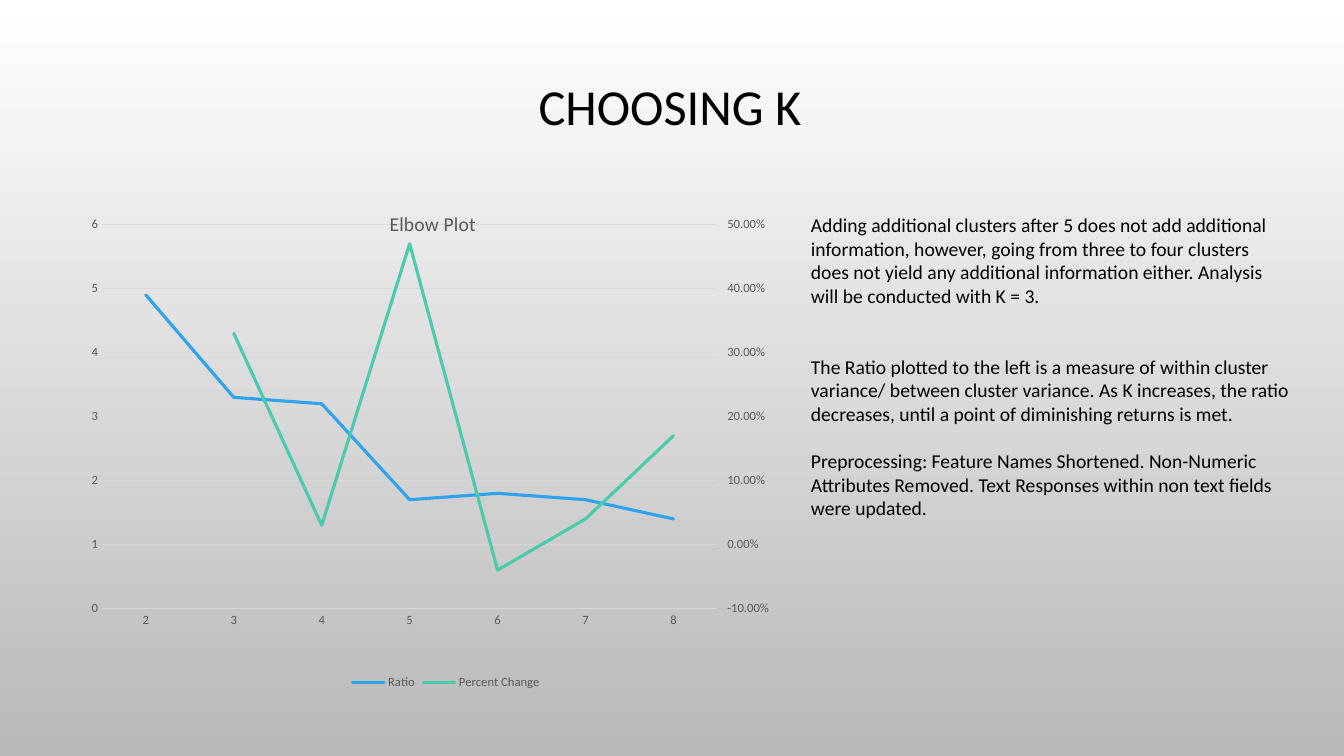
import copy

import pptx
import pptx.chart.axis
import pptx.chart.data
import pptx.dml.color
import pptx.enum.chart
import pptx.enum.text
import pptx.oxml
import pptx.oxml.ns
import pptx.util

THEME = {
    "font": "Calibri",
    "text": "000000", "muted": "595959", "grid": "D9D9D9",
    "background": ("FFFFFF", "B9B9B9"),
    "series": ("2FA3EE", "4BCAAD"),
    "title_size": 36, "body_size": 14, "chart_title_size": 14, "axis_size": 9,
    "grid_width": 0.75, "series_width": 2.25,
}
EMU_PER_PIXEL = 914400 / 100.8
TICK = pptx.enum.chart.XL_TICK_MARK


def pixels(value):
    return pptx.util.Emu(round(value * EMU_PER_PIXEL))


def rgb(value):
    return pptx.dml.color.RGBColor.from_string(value)


def apply(target, values):
    for name, value in values.items():
        setattr(target, name, value)


class SlideBuilder:
    def __init__(self, presentation, theme):
        self.theme = theme
        self.slide = presentation.slides.add_slide(presentation.slide_layouts[5])

    def style_font(self, font, size, color):
        apply(font, {"name": self.theme["font"], "size": pptx.util.Pt(size), "bold": False})
        font.color.rgb = rgb(color)

    def style_line(self, line, color, width):
        line.color.rgb = rgb(color)
        line.width = pptx.util.Pt(width)

    def background(self):
        fill = self.slide.background.fill
        fill.gradient()
        fill.gradient_angle = 270
        for stop, position, color in zip(fill.gradient_stops, (0, 1), self.theme["background"]):
            stop.position = position
            stop.color.rgb = rgb(color)

    def place(self, shape, box):
        apply(shape, dict(zip(("left", "top", "width", "height"), map(pixels, box))))

    def title(self, text, box):
        shape = self.slide.shapes.title
        self.place(shape, box)
        apply(shape.text_frame, {
            "text": text, "word_wrap": True,
            "auto_size": pptx.enum.text.MSO_AUTO_SIZE.NONE,
            "vertical_anchor": pptx.enum.text.MSO_ANCHOR.MIDDLE,
        })
        paragraph = shape.text_frame.paragraphs[0]
        apply(paragraph, {"alignment": pptx.enum.text.PP_ALIGN.CENTER, "line_spacing": 0.9})
        self.style_font(paragraph.runs[0].font, self.theme["title_size"], self.theme["text"])

    def text(self, paragraphs, box):
        frame = self.slide.shapes.add_textbox(*map(pixels, box)).text_frame
        apply(frame, {
            "word_wrap": True,
            "auto_size": pptx.enum.text.MSO_AUTO_SIZE.SHAPE_TO_FIT_TEXT,
            "text": "\n".join(text for text, gap in paragraphs),
        })
        for paragraph, (text, gap) in zip(frame.paragraphs, paragraphs):
            paragraph.space_before = pptx.util.Pt(gap)
            self.style_font(paragraph.runs[0].font, self.theme["body_size"], self.theme["text"])

    def axis(self, axis, tick, scale=None, number_format=None):
        apply(axis, {"major_tick_mark": tick, "minor_tick_mark": TICK.NONE})
        self.style_font(axis.tick_labels.font, self.theme["axis_size"], self.theme["muted"])
        axis.format.line.fill.background()
        if scale:
            apply(axis, dict(zip(("minimum_scale", "maximum_scale", "major_unit"), scale)))
        if number_format:
            apply(axis.tick_labels, {"number_format": number_format,
                                     "number_format_is_linked": False})

    def layout(self, parent, **settings):
        """Give a chart part a manual layout."""
        for old in parent.xpath("c:layout"):
            parent.remove(old)
        items = "".join(f'<c:{name} val="{value}"/>' for name, value in settings.items())
        layout = pptx.oxml.parse_xml(
            f'<c:layout {pptx.oxml.ns.nsdecls("c")}><c:manualLayout>{items}'
            "</c:manualLayout></c:layout>")
        parent.insert(len(parent.xpath("c:tx")), layout)

    def split_second_series(self, plot_area):
        """Move the second series to its own plot and return its two axes."""
        first = plot_area.xpath("c:lineChart")[0]
        second = copy.deepcopy(first)
        first.remove(first.xpath("c:ser")[1])
        second.remove(second.xpath("c:ser")[0])
        first.addnext(second)
        category, value = (copy.deepcopy(plot_area.xpath(name)[0])
                           for name in ("c:catAx", "c:valAx"))
        plot_area.xpath("c:valAx")[0].addnext(value)
        value.addnext(category)
        new_ids = dict(zip((item.get("val") for item in first.xpath("c:axId")),
                           ("50010", "50020")))
        for element in (second, category, value):
            for reference in element.xpath("c:axId | c:crossAx"):
                reference.set("val", new_ids[reference.get("val")])
        for name, setting in (("axPos", "r"), ("crosses", "max")):
            value.xpath(f"c:{name}")[0].set("val", setting)
        return pptx.chart.axis.CategoryAxis(category), pptx.chart.axis.ValueAxis(value)

    def two_axis_line_chart(self, title, categories, series, box, scales, formats):
        data = pptx.chart.data.CategoryChartData()
        data.categories = categories
        for (name, values), number_format in zip(series, formats):
            data.add_series(name, values, number_format)
        chart = self.slide.shapes.add_chart(
            pptx.enum.chart.XL_CHART_TYPE.LINE, *map(pixels, box), data).chart
        self.style_font(chart.font, 10, self.theme["text"])
        chart.plots[0].vary_by_categories = False
        for line, color in zip(chart.plots[0].series, self.theme["series"]):
            line.smooth = False
            self.style_line(line.format.line, color, self.theme["series_width"])
        plot_area = chart.element.xpath("c:chart/c:plotArea")[0]
        for outline in plot_area.xpath("c:lineChart/c:ser/c:spPr/a:ln"):
            outline.set("cap", "rnd")

        # Left and bottom axes, then the right axis
        self.axis(chart.category_axis, TICK.NONE)
        self.style_line(chart.category_axis.format.line,
                        self.theme["grid"], self.theme["grid_width"])
        self.axis(chart.value_axis, TICK.NONE, scales[0], formats[0])
        self.style_line(chart.value_axis.major_gridlines.format.line,
                        self.theme["grid"], self.theme["grid_width"])
        right_category, right_value = self.split_second_series(plot_area)
        self.axis(right_value, TICK.OUTSIDE, scales[1], formats[1])
        right_value.has_major_gridlines = False
        right_category.visible = False
        self.layout(plot_area, layoutTarget="inner", xMode="edge", yMode="edge",
                    x=0.04, y=0.065, w=0.823, h=0.765)

        # Title and legend
        chart.has_title = True
        chart.chart_title.text_frame.text = title
        run = chart.chart_title.text_frame.paragraphs[0].runs[0]
        self.style_font(run.font, self.theme["chart_title_size"], self.theme["muted"])
        title_element = chart.element.xpath("c:chart/c:title")[0]
        self.layout(title_element, xMode="edge", yMode="edge", x=0.42, y=0.03)
        for overlay in title_element.xpath("c:overlay"):
            overlay.set("val", "1")
        chart.has_legend = True
        apply(chart.legend, {"position": pptx.enum.chart.XL_LEGEND_POSITION.BOTTOM,
                             "include_in_layout": False})
        self.style_font(chart.legend.font, self.theme["axis_size"], self.theme["muted"])


presentation = pptx.Presentation()
apply(presentation, {"slide_width": pixels(1344), "slide_height": pixels(756)})
builder = SlideBuilder(presentation, THEME)

# Background and title
builder.background()
builder.title("CHOOSING K", (200, 26, 940, 166))

# Elbow plot
builder.two_axis_line_chart(
    "Elbow Plot",
    [str(k) for k in range(2, 9)],
    [("Ratio", (4.9, 3.3, 3.2, 1.7, 1.8, 1.7, 1.4)),
     ("Percent Change", (None, 0.33, 0.03, 0.47, -0.04, 0.04, 0.17))],
    (72, 192, 748, 502),
    scales=((0, 6, 1), (-0.1, 0.5, 0.1)),
    formats=("General", "0.00%"),
)

# Explanation, with the gap in points above each paragraph
builder.text([
    ("Adding additional clusters after 5 does not add additional information, however, "
     "going from three to four clusters does not yield any additional information either. "
     "Analysis will be conducted with K = 3.", 0),
    ("The Ratio plotted to the left is a measure of within cluster variance/ between cluster "
     "variance. As K increases, the ratio decreases, until a point of diminishing returns "
     "is met.", 34),
    ("Preprocessing: Feature Names Shortened. Non-Numeric Attributes Removed. Text Responses "
     "within non text fields were updated.", 17),
], (801, 208, 500, 390))

presentation.save("out.pptx")
